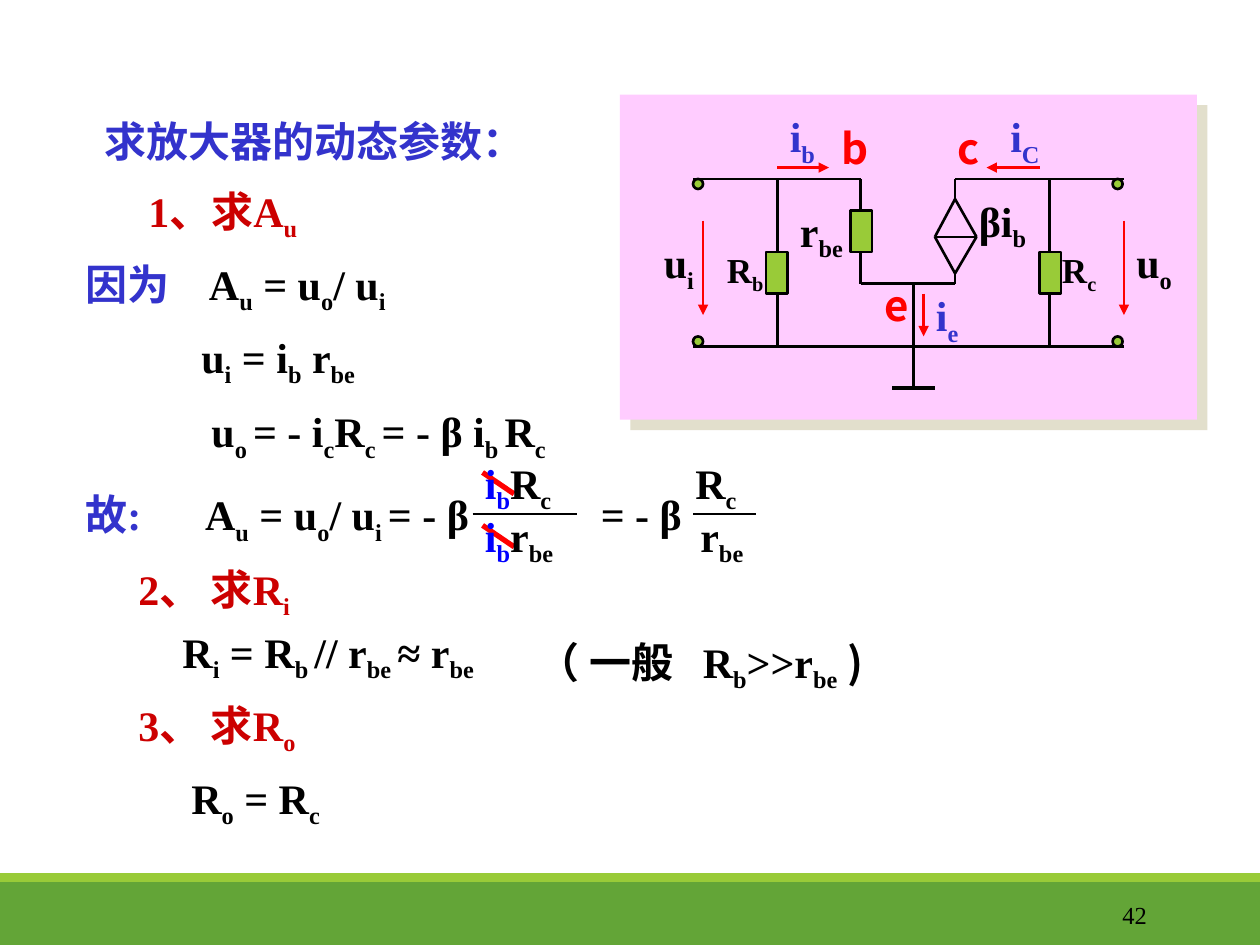
from lxml.etree import SubElement
from pptx import Presentation
from pptx.dml.color import RGBColor
from pptx.enum.shapes import MSO_CONNECTOR, MSO_SHAPE
from pptx.enum.text import MSO_ANCHOR, PP_ALIGN
from pptx.oxml.ns import qn
from pptx.util import Inches, Pt

COLORS = {
    "black": "000000", "red": "FF0000", "crimson": "CC0000",
    "indigo": "3333CC", "blue": "0000FF", "pink": "FFCCFF",
    "shade": "E2DFCC", "green": "63A537", "lime": "99CB38",
}
SERIF = "Times New Roman"
SANS = "Noto Sans CJK SC"

presentation = Presentation()
presentation.slide_width = Inches(10)
presentation.slide_height = Inches(7.5)
slide = presentation.slides.add_slide(presentation.slide_layouts[5])
shapes = slide.shapes


def write(holder, box, segments, size=24, bold=True, tab=None):
    holder.left, holder.top, holder.width, holder.height = map(Inches, box)
    holder.text_frame.word_wrap = True
    paragraph = holder.text_frame.paragraphs[0]
    if tab:
        tabs = SubElement(paragraph._p.get_or_add_pPr(), qn("a:tabLst"))
        SubElement(tabs, qn("a:tab"), pos=str(Inches(tab)), algn="l")
    font = paragraph.font
    font.size, font.bold = Pt(size), bold
    same_color = len({color for _, color, _ in segments}) == 1
    same_face = len({face for _, _, face in segments}) == 1
    if same_color:
        font.color.rgb = RGBColor.from_string(COLORS[segments[0][1]])
    if same_face:
        font.name = segments[0][2]
    SubElement(font._element, qn("a:ea"), typeface=SANS)
    for text, color, face in segments:
        for index, piece in enumerate(text.replace("}", "{").split("{")):
            if not piece:
                continue
            run = paragraph.add_run()
            run.text = piece
            if not same_color:
                run.font.color.rgb = RGBColor.from_string(COLORS[color])
            if not same_face:
                run.font.name = face
            if index % 2:
                run.font._element.set("baseline", "-25000")
    return paragraph


def draw_line(start, end, color="black", width=1.5, arrow=False):
    wire = shapes.add_connector(MSO_CONNECTOR.STRAIGHT, *map(Inches, start + end))
    wire.line.color.rgb = RGBColor.from_string(COLORS[color])
    wire.line.width = Pt(width)
    properties = wire._element.spPr
    if arrow:
        SubElement(properties.find(qn("a:ln")), qn("a:tailEnd"), type="triangle")
    SubElement(properties, qn("a:effectLst"))


title = shapes.title
frame = title.text_frame
frame.margin_left = frame.margin_top = frame.margin_right = frame.margin_bottom = 0
frame.vertical_anchor = MSO_ANCHOR.MIDDLE
heading = write(title, (0.83, 0.92, 3.58, 0.4), [("求放大器的动态参数：", "indigo", SANS)])
heading.alignment = PP_ALIGN.LEFT

for box, color in [
    ((0, 7, 10, 0.5), "green"),
    ((0, 6.93, 10, 0.07), "lime"),
    ((4.92, 0.75, 4.58, 2.58), "pink"),
]:
    panel = shapes.add_shape(MSO_SHAPE.RECTANGLE, *map(Inches, box))
    panel.shadow.inherit = False
    panel.fill.solid()
    panel.fill.fore_color.rgb = RGBColor.from_string(COLORS[color])
    panel.line.fill.background()

effects = panel._element.spPr.find(qn("a:effectLst"))
shadow = SubElement(effects, qn("a:outerShdw"), dist=str(Pt(8.5)), dir="2700000",
                    algn="ctr", rotWithShape="0")
SubElement(shadow, qn("a:srgbClr"), val=COLORS["shade"])

page_number = shapes.add_textbox(0, 0, 0, 0)
page_number.text_frame.vertical_anchor = MSO_ANCHOR.MIDDLE
number = write(page_number, (8.12, 7.06, 1.08, 0.4), [("42", "black", SERIF)], 14, False)
number.alignment = PP_ALIGN.RIGHT

for y in (3.75, 4.17):
    draw_line((3.83, y), (4.08, y + 0.17), "red", 3)
for left, right in [(3.75, 4.58), (5.5, 6)]:
    draw_line((left, 4.08), (right, 4.08), width=0.75)

for left, top, width, text, color in [
    (1.08, 1.42, 2.67, "1、求A{u}", "crimson"),
    (1.5, 2.58, 1.83, "u{i} = i{b} r{be}", "black"),
    (1.58, 3.17, 3.83, "u{o }= - i{c}R{c }= - β i{b }R{c}", "black"),
    (4.67, 3.83, 1, "= - β", "black"),
    (5.46, 4, 0.59, "r{be}", "black"),
    (5.42, 3.58, 0.54, "R{c}", "black"),
    (1, 4.42, 2.67, "2、 求R{i}", "crimson"),
    (1.35, 4.92, 2.9, "R{i} = R{b }// r{be }≈ r{be}", "black"),
    (1, 5.5, 2.75, "3、 求R{o}", "crimson"),
    (1.42, 6.08, 1.58, "R{o} = R{c}", "black"),
]:
    write(shapes.add_textbox(0, 0, 0, 0), (left, top, width, 0.5), [(text, color, SERIF)])

for left, top, width, segments, tab in [
    (0.58, 2, 3.42, [("因为\t", "indigo", SERIF), ("A{u} = u{o}/ u{i}", "black", SERIF)], 0.98),
    (0.58, 3.83, 4.42,
     [("故:\t", "indigo", SERIF), ("A{u} = u{o}/ u{i }= - β", "black", SERIF)], 0.95),
    (3.75, 3.58, 0.81, [("i{b}", "blue", SERIF), ("R{c}", "black", SERIF)], None),
    (3.75, 4, 0.79, [("i{b}", "blue", SERIF), ("r{be}", "black", SERIF)], None),
    (4.17, 5, 4.17,
     [("（ 一般\t", "black", SANS), ("R{b}>>r{be}", "black", SERIF), (" )", "black", SANS)], 1.31),
]:
    write(shapes.add_textbox(0, 0, 0, 0), (left, top, width, 0.5), segments, tab=tab)

top_node, left_node, right_node, bottom_node = (7.58, 1.58), (7.42, 1.88), (7.75, 1.88), (7.58, 2.17)
for start, end in [
    ((5.5, 1.42), (6.83, 1.42)),
    ((7.58, 1.42), (8.92, 1.42)),
    ((5.5, 2.75), (8.92, 2.75)),
    ((6.17, 1.42), (6.17, 2.75)),
    ((8.33, 1.42), (8.33, 2.75)),
    ((6.83, 1.42), (6.83, 2.25)),
    ((6.83, 2.25), (7.58, 2.25)),
    ((7.25, 2.25), (7.25, 3.08)),
    ((7.58, 1.42), top_node),
    (top_node, left_node),
    (top_node, right_node),
    (left_node, bottom_node),
    (right_node, bottom_node),
    (left_node, right_node),
    (bottom_node, (7.58, 2.25)),
]:
    draw_line(start, end)
draw_line((7.08, 3.08), (7.42, 3.08), width=2.25)

resistors = [(MSO_SHAPE.RECTANGLE, x, y, 0.17, 0.33)
             for x, y in [(6.08, 2), (6.75, 1.67), (8.25, 2)]]
terminals = [(MSO_SHAPE.OVAL, x, y, 0.08, 0.08) for x in (5.5, 8.83) for y in (1.42, 2.67)]
for kind, *box in resistors + terminals:
    part = shapes.add_shape(kind, *map(Inches, box))
    part.shadow.inherit = False
    part.fill.solid()
    part.fill.fore_color.rgb = RGBColor.from_string(COLORS["lime"])
    part.line.color.rgb = RGBColor.from_string(COLORS["black"])
    part.line.width = Pt(1.5)

for start, end in [
    ((5.58, 1.75), (5.58, 2.5)),
    ((8.92, 1.75), (8.92, 2.5)),
    ((6.17, 1.33), (6.58, 1.33)),
    ((8.25, 1.33), (7.83, 1.33)),
    ((7.33, 2.33), (7.33, 2.67)),
]:
    draw_line(start, end, "red", arrow=True)

for left, top, width, text, color, face, size in [
    (6.25, 1.58, 0.58, "r{be}", "black", SERIF, 24),
    (7.67, 1.5, 0.75, "βi{b}", "black", SERIF, 24),
    (5.67, 1.92, 0.5, "R{b}", "black", SERIF, 20),
    (8.33, 1.92, 0.48, "R{c}", "black", SERIF, 20),
    (5.17, 1.83, 0.45, "u{i}", "black", SERIF, 24),
    (8.92, 1.83, 0.5, "u{o}", "black", SERIF, 24),
    (6.17, 0.83, 0.49, "i{b}", "indigo", SERIF, 24),
    (7.92, 0.83, 0.45, "i{C}", "indigo", SERIF, 24),
    (7.33, 2.25, 0.39, "i{e}", "indigo", SERIF, 24),
    (6.58, 0.92, 0.42, "b", "red", SANS, 24),
    (7.5, 0.92, 0.5, "c", "red", SANS, 24),
    (6.92, 2.17, 0.5, "e", "red", SANS, 24),
]:
    height = 0.43 if size == 20 else 0.5
    write(shapes.add_textbox(0, 0, 0, 0), (left, top, width, height), [(text, color, face)], size)

presentation.save("out.pptx")
